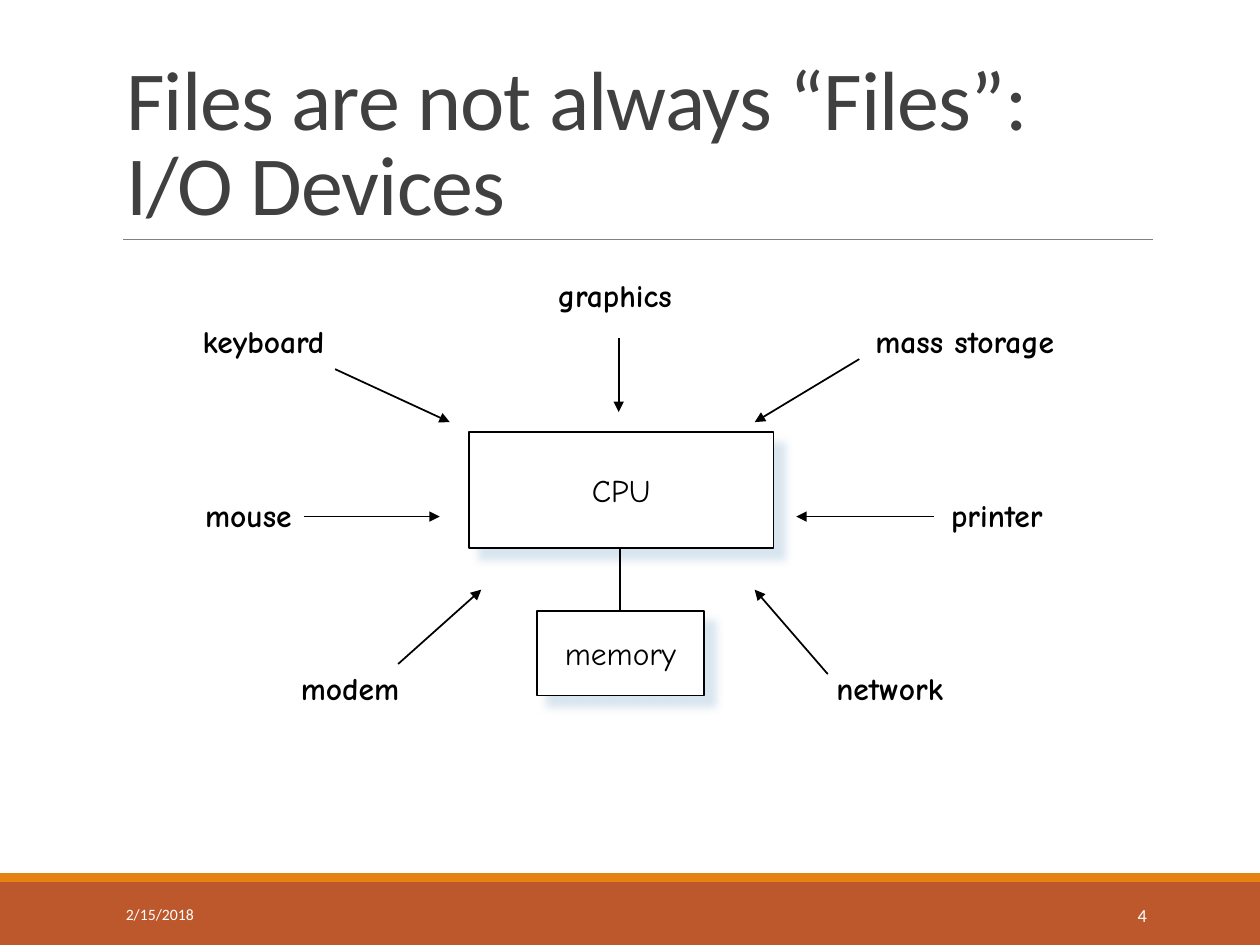
import pptx
import pptx.dml.color
import pptx.enum.shapes
import pptx.enum.text
import pptx.oxml
import pptx.oxml.ns
import pptx.util
from pptx.util import Inches

ALIGN = pptx.enum.text.PP_ALIGN
ANCHOR = pptx.enum.text.MSO_ANCHOR
FIT = pptx.enum.text.MSO_AUTO_SIZE
DRAWING = pptx.oxml.ns.nsdecls("a")

TITLE = {"name": "Calibri", "size": 48, "color": "404040"}
DATE = {"name": "Calibri", "size": 9, "color": "FFFFFF"}
NUMBER = {"name": "Calibri", "size": 10.5, "color": "FFFFFF"}
PART = {"name": "Comic Neue", "size": 18, "color": "000000"}
DEVICE = {**PART, "bold": True}

DEVICES = [
    ("modem", (0.79, 3.16, 1.1), (1.66, 3.17), (2.32, 2.58)),
    ("network", (5.04, 3.16, 1.17), (5.07, 3.25), (4.49, 2.58)),
    ("mouse", (0.03, 1.79, 1.09), (0.91, 2), (1.99, 2)),
    ("printer", (5.95, 1.79, 1), (5.91, 2), (4.82, 2)),
    ("keyboard", (0.01, 0.41, 1.32), (1.16, 0.83), (2.07, 1.25)),
    ("mass storage", (5.35, 0.41, 1.83), (5.32, 0.75), (4.49, 1.25)),
    ("graphics", (2.83, 0.04, 1.25), (3.41, 0.58), (3.41, 1.17)),
]


def color(value):
    return pptx.dml.color.RGBColor.from_string(value)


def write(frame, text, font, paragraph=None, **frame_values):
    for name, value in frame_values.items():
        setattr(frame, name, value)
    para = frame.paragraphs[0]
    for name, value in (paragraph or {}).items():
        setattr(para, name, value)
    span = para.add_run()
    span.text = text
    for name, value in font.items():
        if name == "color":
            span.font.color.rgb = color(value)
        else:
            setattr(span.font, name, pptx.util.Pt(value) if name == "size" else value)
    return span


def add_text(page, box, text, font, paragraph=None, **frame_values):
    label = page.shapes.add_textbox(*map(Inches, box))
    write(label.text_frame, text, font, paragraph, **frame_values)


def add_rectangle(page, box, fill, line=None):
    shape = page.shapes.add_shape(
        pptx.enum.shapes.MSO_SHAPE.RECTANGLE, *map(Inches, box))
    shape.shadow.inherit = False
    shape.fill.solid()
    shape.fill.fore_color.rgb = color(fill)
    if line:
        shape.line.color.rgb = color(line)
        shape.line.width = pptx.util.Pt(1)
    else:
        shape.line.fill.background()
    return shape


def add_line(page, start, end, stroke="000000", width=1, arrow=False):
    line = page.shapes.add_connector(
        pptx.enum.shapes.MSO_CONNECTOR.STRAIGHT, *map(Inches, (*start, *end)))
    line.line.color.rgb = color(stroke)
    line.line.width = pptx.util.Pt(width)
    if arrow:
        line.line._get_or_add_ln().append(
            pptx.oxml.parse_xml(f'<a:tailEnd {DRAWING} type="triangle"/>'))
    line._element.spPr.append(pptx.oxml.parse_xml(f"<a:effectLst {DRAWING}/>"))


def add_part(page, box, text):
    shape = add_rectangle(page, box, "FFFFFF", "000000")
    effects = shape._element.spPr.find(pptx.oxml.ns.qn("a:effectLst"))
    effects.append(pptx.oxml.parse_xml(
        f'<a:outerShdw {DRAWING} blurRad="{pptx.util.Pt(5)}" '
        f'dist="{pptx.util.Pt(8.5)}" dir="2700000" algn="ctr" rotWithShape="0">'
        '<a:srgbClr val="CCDDEA"><a:alpha val="75000"/></a:srgbClr></a:outerShdw>'))
    write(shape.text_frame, text, PART, {"alignment": ALIGN.CENTER},
          word_wrap=False, vertical_anchor=ANCHOR.MIDDLE)


def add_heading(page, left, top, width, height):
    title = page.shapes.title
    edges = {"left": left, "top": top, "width": width, "height": height}
    for name, value in edges.items():
        setattr(title, name, Inches(value))
    span = write(title.text_frame, "Files are not always “Files”: I/O Devices", TITLE,
                 {"alignment": ALIGN.LEFT, "line_spacing": 0.85},
                 word_wrap=True, auto_size=FIT.NONE, vertical_anchor=ANCHOR.BOTTOM)
    span.font._element.set("spc", "-50")
    bottom = top + height
    add_line(page, (left + 0.08, bottom), (left + width, bottom), "808080", 0.5)


def add_footer(page, left, top, width, height):
    stripe = 0.07
    add_rectangle(page, (left, top + stripe, width, height - stripe), "BD582C")
    add_rectangle(page, (left, top, width, stripe), "E48312")
    middle = {"word_wrap": True, "vertical_anchor": ANCHOR.MIDDLE}
    add_text(page, (left + 0.9, top + 0.13, 2.03, 0.4), "2/15/2018", DATE, **middle)
    add_text(page, (left + width - 1.88, top + 0.13, 1.08, 0.4), "4", NUMBER,
             {"alignment": ALIGN.RIGHT}, **middle)


def add_diagram(page, left, top):
    def place(x, y, *size):
        return (left + x, top + y, *size)

    add_part(page, place(2.22, 1.33, 2.42, 0.92), "CPU")
    add_part(page, place(2.76, 2.75, 1.33, 0.67), "memory")
    add_line(page, place(3.42, 2.25), place(3.42, 2.75))
    for name, (x, y, width), start, end in DEVICES:
        add_text(page, place(x, y, width, 0.4), name, DEVICE,
                 word_wrap=False, auto_size=FIT.SHAPE_TO_FIT_TEXT)
        add_line(page, place(*start), place(*end), arrow=True)


def main():
    deck = pptx.Presentation()
    deck.slide_width, deck.slide_height = Inches(10), Inches(7.5)
    page = deck.slides.add_slide(deck.slide_layouts.get_by_name("Title Only"))
    add_footer(page, 0, 6.93, 10, 0.57)
    add_heading(page, 0.9, 0.31, 8.25, 1.59)
    add_diagram(page, 1.5, 2.1)
    deck.save("out.pptx")


if __name__ == "__main__":
    main()
